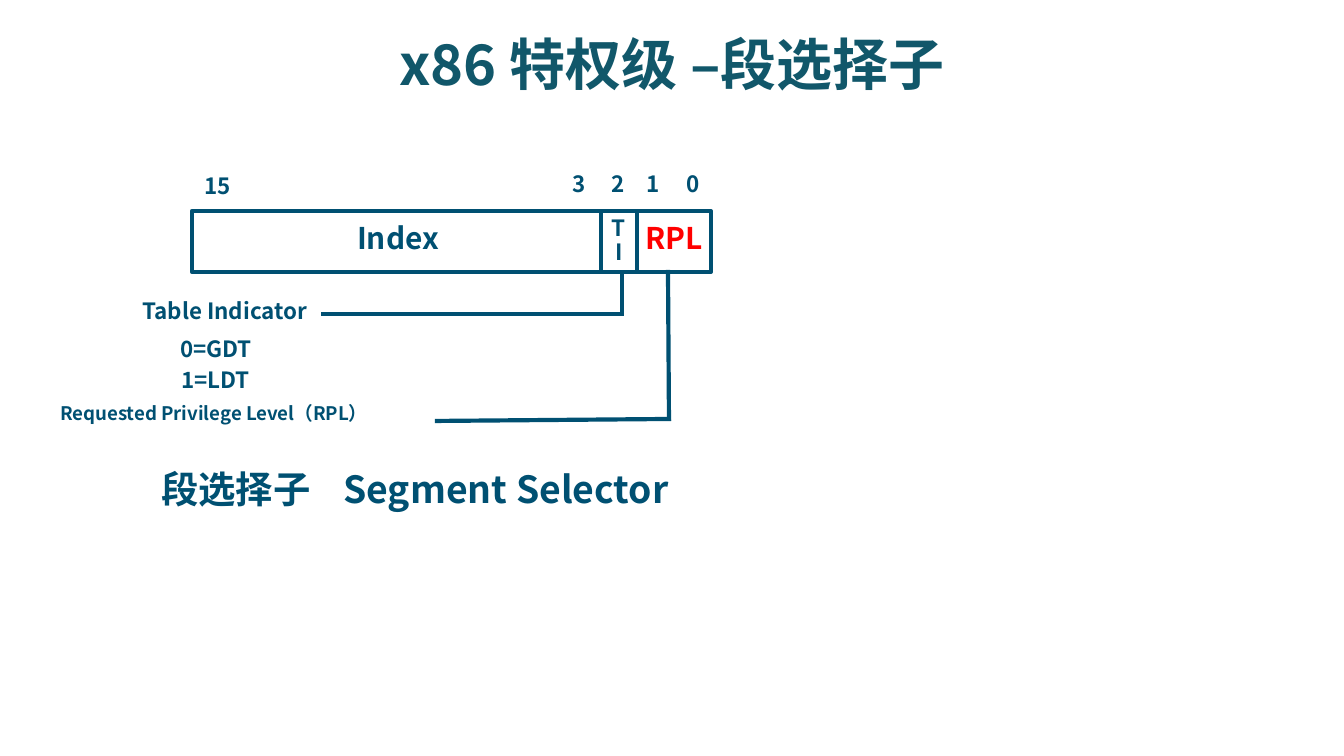
from pptx import Presentation, util as u
from pptx.dml.color import RGBColor
from pptx.enum import shapes, text
from pptx.oxml.ns import qn
from lxml import etree

THEME = {
    "font": "Noto Sans CJK SC",
    "title": "11576A", "ink": "005072", "accent": "FF0000",
    "sizes": {"title": 30, "heading": 20, "field": 16, "label": 12, "note": 10},
    "rule": 2.25, "spacing": 0.88,
}
SCALE = u.Inches(1) / 134.4

TITLE = ("x86 特权级 –段选择子", (0, 31, 1344, 82))
REGISTER = (192, 211, 519, 61)
BITS = [("3", 559), ("2", 598), ("1", 633), ("0", 673)]
LABELS = [
    ("Index", (344, 218, 187, 73), "field", "ink"),
    ("T", (598, 211, 43, 40), "label", "ink"),
    ("I", (602, 235, 43, 40), "label", "ink"),
    ("RPL", (632, 218, 95, 50), "field", "accent"),
    ("15", (191, 169, 66, 40), "label", "ink"),
    ("Table Indicator", (129, 294, 228, 40), "label", "ink"),
    ("0=GDT", (167, 332, 116, 40), "label", "ink"),
    ("1=LDT", (168, 363, 116, 40), "label", "ink"),
    ("Requested Privilege Level（RPL）", (47, 398, 735, 38), "note", "ink"),
    ("段选择子\tSegment Selector", (148, 465, 607, 60), "heading", "ink"),
] + [(bit, (left, 167, 39, 40), "label", "ink") for bit, left in BITS]
HEADING_TAB = 182
DIVIDERS = [(601, 210, 601, 271), (637, 212, 637, 273)]
LEADERS = [
    (622, 274, 622, 313), (624, 314, 321, 314),
    (668, 270, 669, 421), (671, 419, 435, 421),
]


def emu(lengths):
    return [round(length * SCALE) for length in lengths]


def apply(target, values):
    for name, value in values.items():
        setattr(target, name, value)


def color(name):
    return RGBColor.from_string(THEME[name])


def write(box, wording, size, ink, align=text.PP_ALIGN.LEFT):
    frame = box.text_frame
    frame.text = wording
    apply(frame, {
        "word_wrap": True,
        "vertical_anchor": text.MSO_ANCHOR.TOP,
        "auto_size": text.MSO_AUTO_SIZE.SHAPE_TO_FIT_TEXT,
    })
    paragraph = frame.paragraphs[0]
    apply(paragraph, {"alignment": align, "line_spacing": THEME["spacing"],
                      "space_before": u.Pt(0)})
    if "\t" in wording:
        tabs = etree.SubElement(paragraph._p.get_or_add_pPr(), qn("a:tabLst"))
        etree.SubElement(tabs, qn("a:tab"), pos=str(emu([HEADING_TAB])[0]), algn="l")
    for run in paragraph.runs:
        apply(run.font, {"name": THEME["font"], "bold": True,
                         "size": u.Pt(THEME["sizes"][size])})
        run.font.color.rgb = color(ink)
        east_asian = etree.SubElement(run.font._element, qn("a:ea"))
        east_asian.set("typeface", THEME["font"])


def outline(part):
    part.line.width = u.Pt(THEME["rule"])
    part.line.color.rgb = color("ink")


def main():
    deck = Presentation()
    apply(deck, dict(zip(("slide_width", "slide_height"), emu((1344, 756)))))
    slide = deck.slides.add_slide(deck.slide_layouts[5])

    heading, place = TITLE
    title = slide.shapes.title
    apply(title, dict(zip(("left", "top", "width", "height"), emu(place))))
    write(title, heading, "title", "title", text.PP_ALIGN.CENTER)

    register = slide.shapes.add_shape(shapes.MSO_SHAPE.RECTANGLE, *emu(REGISTER))
    register.shadow.inherit = False
    register.fill.background()
    outline(register)

    for ends in DIVIDERS + LEADERS:
        rule = slide.shapes.add_connector(shapes.MSO_CONNECTOR.STRAIGHT, *emu(ends))
        outline(rule)
        etree.SubElement(rule._element.spPr, qn("a:effectLst"))

    for wording, place, size, ink in LABELS:
        write(slide.shapes.add_textbox(*emu(place)), wording, size, ink)

    deck.save("out.pptx")


if __name__ == "__main__":
    main()
